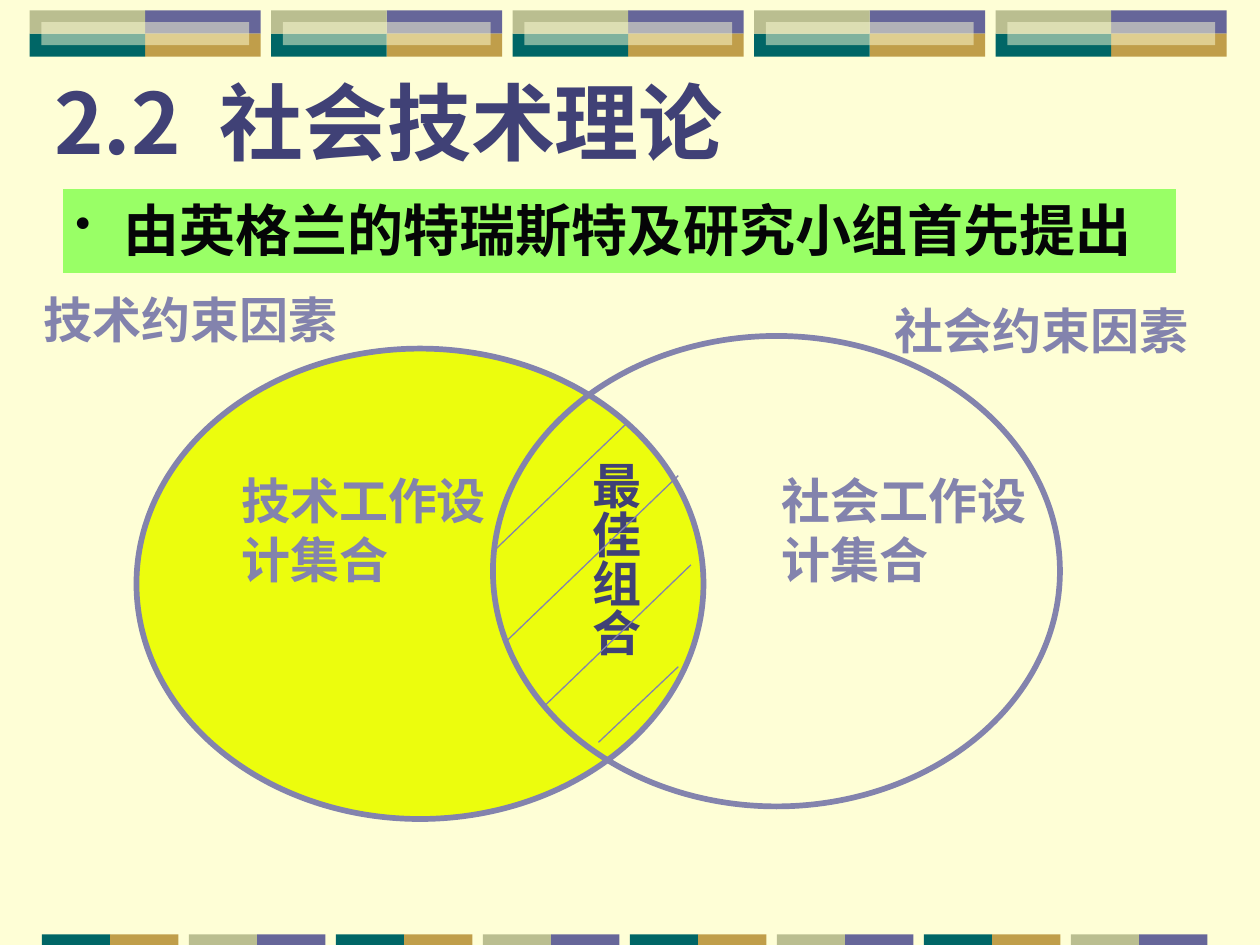
from dataclasses import dataclass
from lxml.etree import SubElement
from pptx import Presentation
from pptx.dml.color import RGBColor
from pptx.enum.shapes import MSO_CONNECTOR, MSO_SHAPE
from pptx.enum.text import MSO_ANCHOR, MSO_AUTO_SIZE, PP_ALIGN
from pptx.oxml.ns import qn
from pptx.util import Inches, Pt

COLUMNS, ROWS = 120, 90
PAGE_WIDTH, PAGE_HEIGHT = Inches(10), Inches(7.5)
CREAM, SAGE, VIOLET, TEAL, GOLD = "FEFED6", "BABE90", "666699", "006666", "C09E4A"
LAVENDER, INDIGO, YELLOW, GREEN, INK = "8383AD", "404176", "ECFD0D", "99FF66", "050507"
CJK_FONT = "Noto Sans CJK SC"


@dataclass
class Box:
    left: float
    top: float
    width: float
    height: float

    def inner(self, left, top, width, height):
        return Box(self.left + left, self.top + top, width, height)

    def share(self, left, top, width, height):
        return self.inner(self.width * left, self.height * top,
                          self.width * width, self.height * height)

    def lengths(self):
        across, down = PAGE_WIDTH / COLUMNS, PAGE_HEIGHT / ROWS
        return (round(self.left * across), round(self.top * down),
                round(self.width * across), round(self.height * down))


def color(value):
    return RGBColor.from_string(value)


def add_area(page, box, fill=None, line=None, kind=MSO_SHAPE.RECTANGLE, opacity=None):
    shape = page.shapes.add_shape(kind, *box.lengths())
    shape.shadow.inherit = False
    if fill:
        shape.fill.solid()
        shape.fill.fore_color.rgb = color(fill)
    else:
        shape.fill.background()
    if line:
        shape.line.color.rgb = color(line)
        shape.line.width = Pt(3.25)
    else:
        shape.line.fill.background()
    if opacity:
        tint = shape._element.spPr.find(qn("a:solidFill"))[0]
        SubElement(tint, qn("a:alpha")).set("val", str(opacity * 1000))
    return shape


def add_span(para, text, size, ink, font="Arial"):
    span = para.add_run()
    span.text = text
    span.font.size = Pt(size)
    span.font.bold = True
    span.font.name = font
    span.font.color.rgb = color(ink)
    SubElement(span._r.get_or_add_rPr(), qn("a:ea")).set("typeface", CJK_FONT)
    return span


def add_label(page, box, text, ink=LAVENDER, vertical=False):
    frame = page.shapes.add_textbox(*box.lengths()).text_frame
    frame.word_wrap = True
    frame.auto_size = MSO_AUTO_SIZE.SHAPE_TO_FIT_TEXT
    if vertical:
        frame._txBody.bodyPr.set("vert", "eaVert")
    add_span(frame.paragraphs[0], text, 28, ink)


def add_hatch(page, box, start, end):
    x1, y1, _, _ = box.inner(*start, 0, 0).lengths()
    x2, y2, _, _ = box.inner(*end, 0, 0).lengths()
    line = page.shapes.add_connector(MSO_CONNECTOR.STRAIGHT, x1, y1, x2, y2)
    line.line.color.rgb = color(LAVENDER)
    line.line.width = Pt(0.75)
    SubElement(line._element.spPr, qn("a:effectLst"))


def add_top_band(page, box, count=5, pitch=23):
    for index in range(count):
        tile = box.inner(index * pitch, 0, box.width - (count - 1) * pitch, box.height)
        quarters = ((0.5, 0, VIOLET), (0.5, 0.5, GOLD), (0, 0.5, TEAL), (0, 0, SAGE))
        for left, top, fill in quarters:
            add_area(page, tile.share(left, top, 0.5, 0.5), fill)
        add_area(page, tile.share(0.05, 0.25, 0.9, 0.5), CREAM, opacity=50)


def add_bottom_band(page, box, count=8, pitch=14):
    pairs = ((TEAL, GOLD), (SAGE, VIOLET))
    for index in range(count):
        tile = box.inner(index * pitch, 0, box.width - (count - 1) * pitch, box.height)
        for half, fill in enumerate(pairs[index % 2]):
            add_area(page, tile.share(half / 2, 0, 0.5, 1), fill)


def add_title(page, box):
    frame = page.shapes.add_textbox(*box.lengths()).text_frame
    frame.word_wrap = True
    frame.vertical_anchor = MSO_ANCHOR.MIDDLE
    para = frame.paragraphs[0]
    add_span(para, "2.2", 48, INDIGO, CJK_FONT)
    gap = add_span(para, " ", 48, INDIGO, CJK_FONT)
    gap._r.get_or_add_rPr().set("spc", "1100")
    add_span(para, "社会技术理论", 48, INDIGO, CJK_FONT)


def add_statement(page, box):
    frame = add_area(page, box, GREEN).text_frame
    frame.word_wrap = True
    frame.vertical_anchor = MSO_ANCHOR.TOP
    para = frame.paragraphs[0]
    para.alignment = PP_ALIGN.LEFT
    properties = para._p.get_or_add_pPr()
    properties.set("marL", str(Inches(0.38)))
    properties.set("indent", str(-Inches(0.38)))
    bullet_color = SubElement(properties, qn("a:buClr"))
    SubElement(bullet_color, qn("a:srgbClr")).set("val", INK)
    SubElement(properties, qn("a:buSzPct")).set("val", "80000")
    SubElement(properties, qn("a:buChar")).set("char", "•")
    add_span(para, "由英格兰的特瑞斯特及研究小组首先提出", 32, INK)


def add_venn(page, box):
    for left, top, fill in ((0, 1.2, YELLOW), (33.95, 0, None)):
        add_area(page, box.inner(left, top, 54, 44.8), fill, LAVENDER, MSO_SHAPE.OVAL)
    for left, text in ((8.8, "技术工作设计集合"), (60.3, "社会工作设计集合")):
        add_label(page, box.inner(left, 12.2, 26.4, 12.4), text)
    add_label(page, box.inner(41, 10.8, 8, 26.7), "最佳组合", INDIGO, vertical=True)
    hatches = (((44, 38.7), (51.6, 31.5)), ((39, 35.1), (52.8, 21.8)),
               ((35.2, 29.1), (51.6, 13.3)), ((33.9, 20.6), (46.6, 8.4)))
    for start, end in hatches:
        add_hatch(page, box, start, end)


def add_factors(page, box):
    add_label(page, box.inner(0, 0, 32, 6.8), "技术约束因素")
    add_label(page, box.inner(box.width - 32, 1, 32, 6.8), "社会约束因素")


def main():
    deck = Presentation()
    deck.slide_width, deck.slide_height = PAGE_WIDTH, PAGE_HEIGHT
    page = deck.slides.add_slide(deck.slide_layouts[6])
    page.background.fill.solid()
    page.background.fill.fore_color.rgb = color(CREAM)
    add_top_band(page, Box(2.83, 1, 114, 4.4))
    add_bottom_band(page, Box(4, 89, 111, 1))
    add_title(page, Box(4, 6, 102, 11))
    add_venn(page, Box(13, 32, 88, 46))
    add_factors(page, Box(3, 27, 113, 7.8))
    add_statement(page, Box(6, 18, 106, 8))
    deck.save("out.pptx")


if __name__ == "__main__":
    main()
